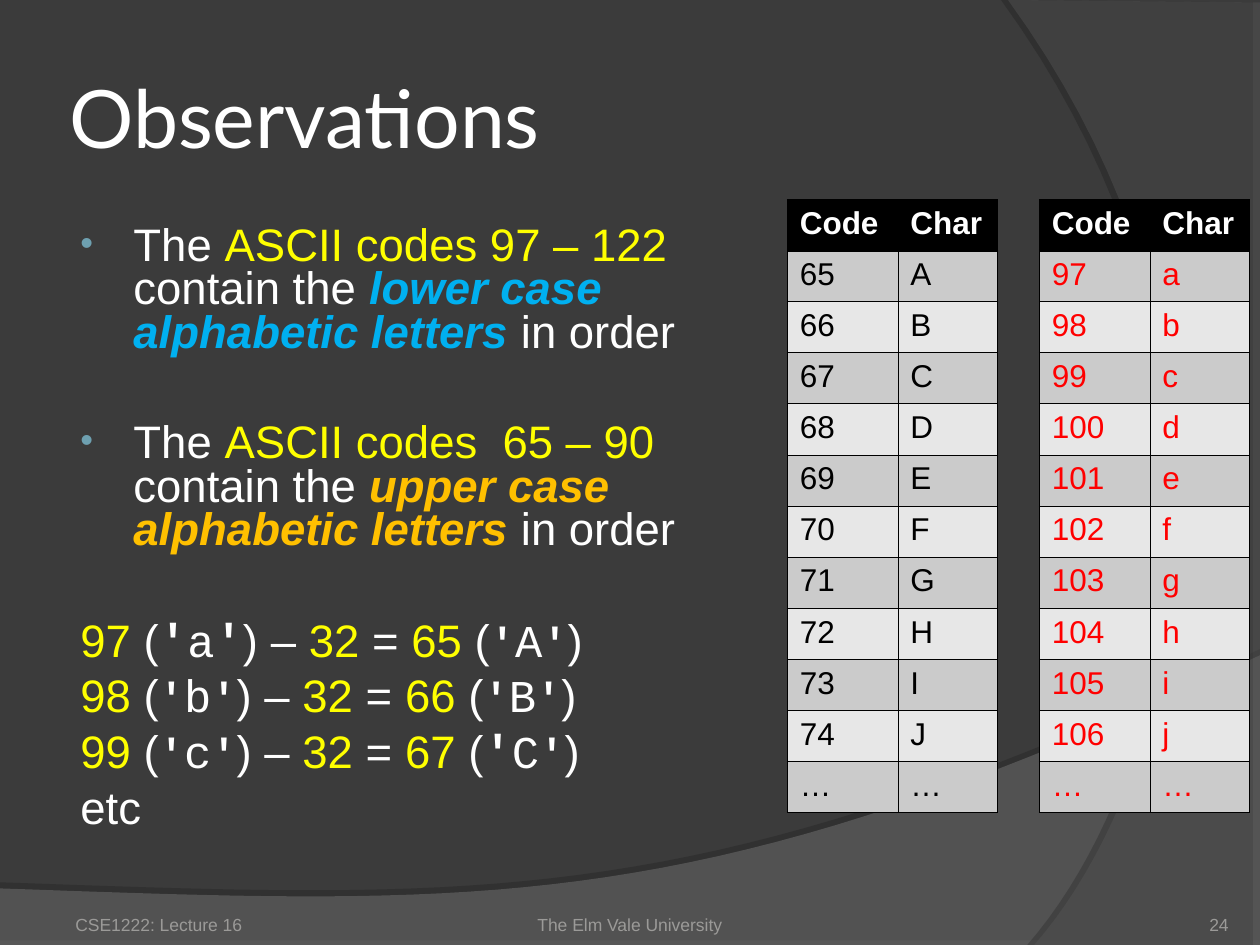
from dataclasses import dataclass

from lxml.etree import SubElement
from pptx import Presentation
from pptx.dml.color import RGBColor
from pptx.enum.text import MSO_ANCHOR as Anchor, MSO_AUTO_SIZE as AutoSize, PP_ALIGN as Align
from pptx.oxml import parse_xml
from pptx.oxml.ns import nsdecls, qn
from pptx.util import Cm, Pt


@dataclass(frozen=True)
class Theme:
    background: str = "3B3B3B"
    wave: str = "7C7C7C"
    arc: str = "595959"
    white: str = "FFFFFF"
    black: str = "000000"
    yellow: str = "FFFF00"
    blue: str = "00B0F0"
    orange: str = "FFC000"
    red: str = "FF0000"
    muted: str = "9B9A98"
    bullet: str = "6EA0B0"
    bands: tuple = ("CBCBCB", "E7E7E7")
    title_font: str = "Lato"
    text_font: str = "Arial"
    code_font: str = "Courier New"
    title_size: float = 46
    body_size: float = 26
    quote_size: float = 24
    big_quote_size: float = 27
    table_size: float = 18
    footer_size: float = 10


def curve(start, first, second, end, steps=40):
    """Points along a cubic curve, without its start."""
    for step in range(1, steps + 1):
        t = step / steps
        weights = ((1 - t) ** 3, 3 * t * (1 - t) ** 2, 3 * t * t * (1 - t), t ** 3)
        yield tuple(sum(weight * point[axis] for weight, point in
                        zip(weights, (start, first, second, end))) for axis in (0, 1))


class SlideBuilder:
    def __init__(self, presentation, theme):
        self.theme = theme
        self.slide = presentation.slides.add_slide(presentation.slide_layouts[1])
        fill = self.slide.background.fill
        fill.solid()
        fill.fore_color.rgb = RGBColor.from_string(theme.background)

    def style(self, run, color, size, font=None, bold=False, italic=False):
        run.font.name = font or self.theme.text_font
        run.font.size = Pt(size)
        run.font.bold, run.font.italic = bold, italic
        run.font.color.rgb = RGBColor.from_string(color)

    def place(self, shape, box, insets, anchor):
        shape.left, shape.top, shape.width, shape.height = map(Cm, box)
        frame = shape.text_frame
        frame.word_wrap = True
        frame.auto_size = AutoSize.NONE
        frame.vertical_anchor = anchor
        (frame.margin_left, frame.margin_top,
         frame.margin_right, frame.margin_bottom) = map(Cm, insets)
        return frame

    def backdrop(self, points, color, opacity, shadow_opacity, distance, direction):
        """Translucent area behind the text, with a hard shadow along its edge."""
        start, *others = [(Cm(x), Cm(y)) for x, y in points]
        builder = self.slide.shapes.build_freeform(*start)
        builder.add_line_segments(others, close=True)
        shape = builder.convert_to_shape()
        shape.fill.solid()
        shape.fill.fore_color.rgb = RGBColor.from_string(color)
        shape.line.fill.background()
        shape.shadow.inherit = False
        properties = shape._element.spPr
        fill_color = properties.find(qn("a:solidFill"))[0]
        SubElement(fill_color, qn("a:alpha"), val=str(opacity * 1000))
        properties.find(qn("a:effectLst")).append(parse_xml(
            f'<a:outerShdw {nsdecls("a")} blurRad="0" dist="{Pt(distance)}" '
            f'dir="{direction * 60000}" rotWithShape="0">'
            f'<a:srgbClr val="{self.theme.black}"><a:alpha val="{shadow_opacity * 1000}"/>'
            '</a:srgbClr></a:outerShdw>'))
        self.slide.shapes.title._element.addprevious(shape._element)

    def title(self, text, box):
        frame = self.place(self.slide.shapes.title, box, (0.13,) * 4, Anchor.MIDDLE)
        frame.text = text
        paragraph = frame.paragraphs[0]
        paragraph.alignment = Align.LEFT
        self.style(paragraph.runs[0], self.theme.white, self.theme.title_size,
                   self.theme.title_font)

    def body(self, paragraphs, box):
        """Each paragraph is (has bullet, space before, runs)."""
        frame = self.place(self.slide.placeholders[1], box,
                           (0.25, 0.13, 0.25, 0.13), Anchor.TOP)
        for index, (bulleted, space, runs) in enumerate(paragraphs):
            paragraph = frame.add_paragraph() if index else frame.paragraphs[0]
            paragraph.alignment = Align.LEFT
            paragraph.line_spacing = 0.8
            paragraph.space_before, paragraph.space_after = Pt(space), Pt(0)
            for text, *look in runs:
                run = paragraph.add_run()
                run.text = text
                self.style(run, *look)
            properties = paragraph._p.get_or_add_pPr()
            properties.set("marL", str(Cm(1.17)))
            properties.set("indent", str(Cm(-1.07)))
            if bulleted:
                color = SubElement(properties, qn("a:buClr"))
                SubElement(color, qn("a:srgbClr"), val=self.theme.bullet)
                SubElement(properties, qn("a:buSzPct"), val="80000")
                SubElement(properties, qn("a:buFont"), typeface=self.theme.text_font)
                SubElement(properties, qn("a:buChar"), char="•")
            else:
                SubElement(properties, qn("a:buNone"))

    def footer(self, text, box, insets, alignment):
        shape = self.slide.shapes.add_textbox(*map(Cm, box))
        frame = self.place(shape, box, insets, Anchor.BOTTOM)
        frame.text = text
        frame.paragraphs[0].alignment = alignment
        self.style(frame.paragraphs[0].runs[0], self.theme.muted, self.theme.footer_size)

    def border(self, cell, side, width):
        line = SubElement(cell._tc.get_or_add_tcPr(), qn(f"a:ln{side}"), w=str(Pt(width)))
        fill = SubElement(line, qn("a:solidFill"))
        SubElement(fill, qn("a:srgbClr"), val=self.theme.black)

    def code_table(self, left, top, rows, color):
        theme, widths, row_height = self.theme, (2.23, 2.0), 1.03
        table = self.slide.shapes.add_table(
            len(rows), len(widths), Cm(left), Cm(top),
            Cm(sum(widths)), Cm(row_height * len(rows))).table
        table.horz_banding = False
        for column, width in zip(table.columns, widths):
            column.width = Cm(width)
        for index, values in enumerate(rows):
            table.rows[index].height = Cm(row_height)
            header = index == 0
            for cell, text in zip(table.rows[index].cells, values):
                for side in "LRTB":
                    thick = (index, side) in ((0, "B"), (1, "T"))
                    self.border(cell, side, 1.47 if thick else 0.45)
                cell.fill.solid()
                cell.fill.fore_color.rgb = RGBColor.from_string(
                    theme.black if header else theme.bands[(index - 1) % 2])
                cell.text = text
                self.style(cell.text_frame.paragraphs[0].runs[0],
                           theme.white if header else color, theme.table_size, bold=header)


def range_point(theme, codes, letters, color, space):
    size = theme.body_size
    return True, space, [("The ", theme.white, size),
                         (f"ASCII codes {codes} ", theme.yellow, size),
                         ("contain the ", theme.white, size),
                         (f"{letters} alphabetic letters ", color, size, None, True, True),
                         ("in order", theme.white, size)]


def equation(theme, code, quote_sizes, space):
    """Subtraction that turns a lower case code into its upper case code."""
    size, white, mono = theme.body_size, theme.white, theme.code_font

    def quoted(value, opening, closing):
        return [(str(value), theme.yellow, size), (" (", white, size),
                ("'", white, opening, mono, True), (chr(value), white, size, mono),
                ("'", white, closing, mono, True)]

    return False, space, [*quoted(code, *quote_sizes[:2]), (") – ", white, size),
                          ("32", theme.yellow, size), (" = ", white, size),
                          *quoted(code - 32, *quote_sizes[2:]), (")", white, size)]


def main():
    presentation = Presentation()
    presentation.slide_width, presentation.slide_height = Cm(25.4), Cm(19.05)
    theme = Theme()
    builder = SlideBuilder(presentation, theme)

    # Backdrop: wave along the bottom, arc on the right
    wave = [(0, 17.91), (0, 19.08), (25.4, 19.08), (25.4, 13.21),
            *curve((25.4, 13.21), (14.2, 18.52), (9.93, 18.26), (0, 17.91))]
    builder.backdrop(wave, theme.wave, 45, 35, 3.5, 270)
    arc = [(25.4, 0.05), (25.4, 19.05), (20.85, 19.05),
           *curve((20.85, 19.05), (23.75, 15.72), (25.86, 7.62), (20.32, 0))]
    builder.backdrop(arc, theme.arc, 40, 45, 4, 180)

    # Title and body
    builder.title("Observations", (1.27, 0.76, 20.75, 3.18))
    near, far = 6.5, 37.9
    small, big = theme.quote_size, theme.big_quote_size
    builder.body([
        range_point(theme, "97 – 122", "lower case", theme.blue, near),
        range_point(theme, " 65 – 90", "upper case", theme.orange, far),
        equation(theme, 97, (big, big, small, small), far),
        equation(theme, 98, (small, small, small, small), near),
        equation(theme, 99, (small, small, big, small), near),
        (False, near, [("etc", theme.white, theme.body_size)]),
    ], (1.27, 4.43, 14.4, 12.57))

    # Footer
    top, height = 17.83, 1.02
    builder.footer("CSE1222: Lecture 16", (1.27, top, 5.92, height),
                   (0.25, 0.13, 0.25, 0), Align.LEFT)
    builder.footer("The Elm Vale University", (8.67, top, 8.05, height),
                   (0, 0.13, 0, 0), Align.CENTER)
    builder.footer("24", (22.66, top, 2.11, height), (0, 0, 0, 0), Align.RIGHT)

    # Tables of the first ten letters in each case
    for left, first, color in ((15.87, 65, theme.black), (20.95, 97, theme.red)):
        codes = [(str(code), chr(code)) for code in range(first, first + 10)]
        builder.code_table(left, 4.02, [("Code", "Char"), *codes, ("…", "…")], color)

    presentation.save("out.pptx")


if __name__ == "__main__":
    main()
